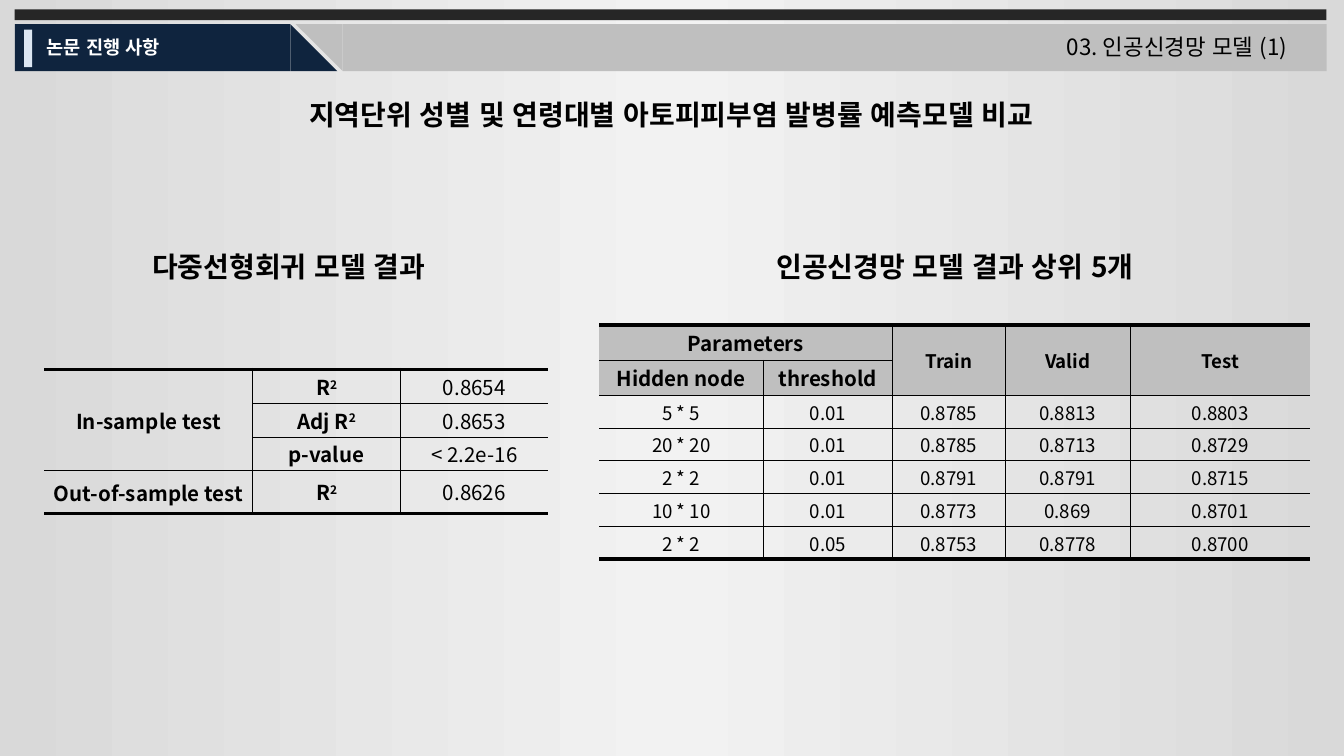
from copy import deepcopy

from pptx import Presentation
from pptx.dml.color import RGBColor
from pptx.enum.lang import MSO_LANGUAGE_ID
from pptx.enum.shapes import MSO_SHAPE
from pptx.enum.text import MSO_ANCHOR, PP_ALIGN
from pptx.oxml.ns import qn
from pptx.util import Inches, Pt
from lxml import etree

RECT, WEDGE = MSO_SHAPE.RECTANGLE, MSO_SHAPE.RIGHT_TRIANGLE
LEFT, MID = PP_ALIGN.LEFT, PP_ALIGN.CENTER
KOREAN = MSO_LANGUAGE_ID.KOREAN
WIDTH = 10
HEIGHT = WIDTH * 9 / 16


class Theme:
    font = "Noto Sans CJK KR"
    black, white = "000000", "FFFFFF"
    bar, navy, grey, pale = "262626", "0F243E", "BFBFBF", "DCE6F2"
    back = [(0, "D9D9D9"), (0.5, "F2F2F2"), (1, "D9D9D9")]
    title, head, page, body = 15, 11, 12, 10
    thick, thin = 2.25, 0.28


# shape, left, top, width, height, colour
BANNER = [
    (RECT, 0.11, 0.07, 9.76, 0.08, Theme.bar),
    (RECT, 0.11, 0.18, 2.05, 0.35, Theme.navy),
    (WEDGE, 2.16, 0.18, 0.35, 0.35, Theme.navy),
    (RECT, 0.18, 0.22, 0.06, 0.28, Theme.pale),
]
STRIP = [
    (RECT, 2.55, 0.18, 7.32, 0.35, Theme.grey),
    (WEDGE, 2.2, 0.18, 0.35, 0.35, Theme.grey),
]
# text, left, top, width, height, size, bold, colour, align, wrap
TEXTS = [
    ("논문 진행 사항", 0.25, 0.22, 1.13, 0.27, Theme.body, True, Theme.white, LEFT, True),
    ("03. 인공신경망 모델 (1)", 7.84, 0.2, 2.04, 0.3, Theme.page, False, Theme.black, LEFT, False),
    ("지역단위 성별 및 연령대별 아토피피부염 발병률 예측모델 비교",
     1.79, 0.68, 6.41, 0.35, Theme.title, True, Theme.black, MID, True),
    ("다중선형회귀 모델 결과", 0.93, 1.81, 2.44, 0.35, Theme.title, True, Theme.black, MID, True),
    ("인공신경망 모델 결과 상위 5개", 5.53, 1.81, 3.15, 0.35, Theme.title, True, Theme.black, MID, True),
]
# A "^" starts a superscript; None is covered by a merged cell.
NETWORK = {
    "at": (4.46, 2.42),
    "cols": [1.22, 0.96, 0.84, 0.93, 1.34],
    "rows": [0.26] * 2 + [1.22 / 5] * 5,
    "spans": {(0, 0): (1, 2), (0, 2): (2, 1), (0, 3): (2, 1), (0, 4): (2, 1)},
    "cells": [
        ["Parameters", None, "Train", "Valid", "Test"],
        ["Hidden node", "threshold", None, None, None],
        ["5 * 5", "0.01", "0.8785", "0.8813", "0.8803"],
        ["20 * 20", "0.01", "0.8785", "0.8713", "0.8729"],
        ["2 * 2", "0.01", "0.8791", "0.8791", "0.8715"],
        ["10 * 10", "0.01", "0.8773", "0.869", "0.8701"],
        ["2 * 2", "0.05", "0.8753", "0.8778", "0.8700"],
    ],
}
LINEAR = {
    "at": (0.33, 2.75),
    "cols": [1.55, 1.1, 1.1],
    "rows": [0.25] * 3 + [0.32],
    "spans": {(0, 0): (3, 1)},
    "cells": [
        ["In-sample test", "R^2", "0.8654"],
        [None, "Adj R^2", "0.8653"],
        [None, "p-value", "< 2.2e-16"],
        ["Out-of-sample test", "R^2", "0.8626"],
    ],
}


def network_look(row, col):
    """Return size, bold, fill and whether the cell has side padding."""
    if row > 1:
        return Theme.body, False, None, False
    return (Theme.head if col < 2 else Theme.body), True, Theme.grey, True


def linear_look(row, col):
    """Return size, bold, fill and whether the cell has side padding."""
    return Theme.head, col < 2, None, col > 0


def style(run, size, bold, color):
    font = run.font
    font.name, font.size, font.bold = Theme.font, Pt(size), bold
    font.color.rgb = RGBColor.from_string(color)
    latin = run._r.get_or_add_rPr().find(qn("a:latin"))
    east = etree.Element(qn("a:ea"), typeface=Theme.font)
    latin.addnext(east)


def paint_back(slide):
    fill = slide.background.fill
    fill.gradient()
    fill.gradient_angle = 0
    stops = slide._element.find(".//" + qn("a:gsLst"))
    stops.insert(1, deepcopy(stops[0]))
    for stop, (place, color) in zip(fill.gradient_stops, Theme.back):
        stop.position = place
        stop.color.rgb = RGBColor.from_string(color)


def add_block(shapes, kind, left, top, width, height, color, turn=0):
    block = shapes.add_shape(kind, *map(Inches, (left, top, width, height)))
    block.shadow.inherit = False
    block.fill.solid()
    block.fill.fore_color.rgb = RGBColor.from_string(color)
    block.line.fill.background()
    block.rotation = turn


def add_text(shapes, text, left, top, width, height, size, bold, color, align, wrap):
    frame = shapes.add_textbox(*map(Inches, (left, top, width, height))).text_frame
    frame.word_wrap = wrap
    frame.text = text
    line = frame.paragraphs[0]
    line.alignment = align
    run = line.runs[0]
    style(run, size, bold, color)
    run.font.language_id = KOREAN
    run._r.get_or_add_rPr().set("kern", "0")


def add_edges(cell, edges):
    """Draw the edges, a dict of side to width; width 0 means no line."""
    props = cell._tc.get_or_add_tcPr()
    for side, width in edges.items():
        edge = etree.SubElement(props, qn("a:ln" + side), w=str(Pt(width)))
        if width:
            fill = etree.SubElement(edge, qn("a:solidFill"))
            etree.SubElement(fill, qn("a:srgbClr"), val=Theme.black)
        else:
            etree.SubElement(edge, qn("a:noFill"))


def fill_cell(cell, text, size, bold, fill, padded):
    side = Inches(0.07 if padded else 0.01)
    cell.margin_left = cell.margin_right = side
    cell.margin_top = Inches(0 if padded else 0.01)
    cell.margin_bottom = 0
    cell.vertical_anchor = MSO_ANCHOR.MIDDLE
    if fill:
        cell.fill.solid()
        cell.fill.fore_color.rgb = RGBColor.from_string(fill)
    else:
        cell.fill.background()
    line = cell.text_frame.paragraphs[0]
    line.alignment = MID
    for part, words in enumerate(text.split("^")):
        run = line.add_run()
        run.text = words
        style(run, size, bold, Theme.black)
        if part:
            run._r.get_or_add_rPr().set("baseline", "30000")


def add_grid(shapes, data, look):
    cols, rows = data["cols"], data["rows"]
    size = (sum(cols), sum(rows))
    table = shapes.add_table(len(rows), len(cols), *map(Inches, data["at"] + size)).table
    table.first_row = table.horz_banding = False
    for col, width in zip(table.columns, cols):
        col.width = Inches(width)
    for row, height in zip(table.rows, rows):
        row.height = Inches(height)
    for r, texts in enumerate(data["cells"]):
        for c, text in enumerate(texts):
            if text is None:
                continue
            cell = table.cell(r, c)
            high, wide = data["spans"].get((r, c), (1, 1))
            if high * wide > 1:
                cell.merge(table.cell(r + high - 1, c + wide - 1))
            add_edges(cell, {
                "L": Theme.thin if c else 0,
                "R": Theme.thin if c + wide < len(cols) else 0,
                "T": Theme.thin if r else Theme.thick,
                "B": Theme.thin if r + high < len(rows) else Theme.thick,
            })
            fill_cell(cell, text, *look(r, c))


def main():
    deck = Presentation()
    deck.slide_width, deck.slide_height = Inches(WIDTH), Inches(HEIGHT)
    slide = deck.slides.add_slide(deck.slide_layouts[6])
    paint_back(slide)
    shapes = slide.shapes
    for block in BANNER:
        add_block(shapes, *block)
    strip = shapes.add_group_shape()
    for block in STRIP:
        add_block(strip.shapes, *block, turn=180)
    for text in TEXTS:
        add_text(shapes, *text)
    add_grid(shapes, NETWORK, network_look)
    add_grid(shapes, LINEAR, linear_look)
    deck.save("out.pptx")


if __name__ == "__main__":
    main()
